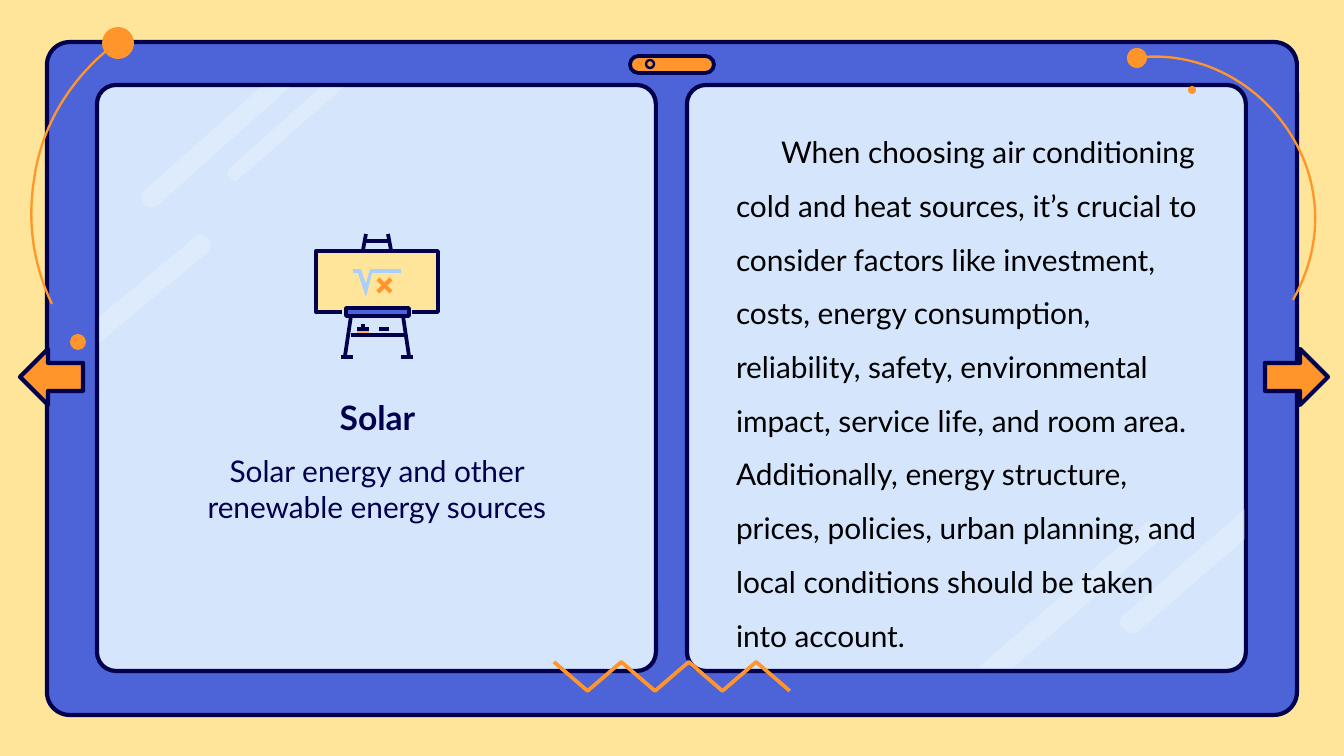
import pptx
import pptx.dml.color
import pptx.enum.shapes
import pptx.enum.text
import pptx.oxml
import pptx.oxml.ns
import pptx.util

PX = 914400 / 134.4
KIND = pptx.enum.shapes.MSO_SHAPE
ALIGN = pptx.enum.text.PP_ALIGN
FIT = pptx.enum.text.MSO_AUTO_SIZE
NAVY, BLUE, PALE, CREAM = "00004D", "4C64D8", "D5E6FC", "FFE599"
ORANGE, PEACH, SKY = "FF952B", "FFB061", "A8CFFF"


def px(n):
    return pptx.util.Emu(round(n * PX))


def rgb(code):
    return pptx.dml.color.RGBColor.from_string(code)


def tag(name):
    return pptx.oxml.parse_xml(f"<a:{name} {pptx.oxml.ns.nsdecls('a')}/>")


def trace(start, steps):
    pts = [start]
    for step in steps:
        if len(step) == 2:
            pts.append(step)
            continue
        a, b, c, d = pts[-1], step[:2], step[2:4], step[4:]
        count = max(4, round(abs(d[0] - a[0]) + abs(d[1] - a[1])) // 6)
        for i in range(1, count + 1):
            t = i / count
            u = 1 - t
            pts.append(tuple(
                u**3 * a[k] + 3 * u * u * t * b[k] + 3 * u * t * t * c[k] + t**3 * d[k]
                for k in (0, 1)))
    return pts


class Board:
    """Holds the slide and its style, and draws each kind of element."""

    font = "Lato"

    def __init__(self, deck):
        self.slide = deck.slides.add_slide(deck.slide_layouts[5])
        self.shapes = self.slide.shapes
        fill = self.slide.background.fill
        fill.solid()
        fill.fore_color.rgb = rgb(CREAM)

    def paint(self, shape, fill, line, width):
        shape.shadow.inherit = False
        if fill:
            shape.fill.solid()
            shape.fill.fore_color.rgb = rgb(fill)
        else:
            shape.fill.background()
        if line:
            shape.line.color.rgb = rgb(line)
            shape.line.width = pptx.util.Pt(width)
        else:
            shape.line.fill.background()
        return shape

    def shape(self, kind, box, fill=None, line=None, width=2.25, adj=None):
        item = self.shapes.add_shape(kind, *map(px, box))
        if adj is not None:
            item.adjustments[0] = adj
        return self.paint(item, fill, line, width)

    def dot(self, x, y, r, fill=ORANGE, line=None, width=1.25):
        return self.shape(KIND.OVAL, (x - r, y - r, 2 * r, 2 * r), fill, line, width)

    def free(self, start, steps, fill=None, line=None, width=2):
        pts = [(px(x), px(y)) for x, y in trace(start, steps)]
        pen = self.shapes.build_freeform(*pts[0], scale=1.0)
        pen.add_line_segments(pts[1:], close=bool(fill))
        return self.paint(pen.convert_to_shape(), fill, line, width)

    def gleam(self, start, steps):
        item = self.free(start, steps, "FFFFFF")
        alpha = tag("alpha")
        alpha.set("val", "20000")
        item.element.xpath("./p:spPr/a:solidFill/a:srgbClr")[0].append(alpha)

    def line(self, x1, y1, x2, y2, color=NAVY, width=2):
        item = self.shapes.add_connector(
            pptx.enum.shapes.MSO_CONNECTOR.STRAIGHT, *map(px, (x1, y1, x2, y2)))
        item.line.color.rgb = rgb(color)
        item.line.width = pptx.util.Pt(width)
        item.element.spPr.append(tag("effectLst"))

    def fill_text(self, item, text, size, color, align, pad, bold=False):
        frame = item.text_frame
        frame.word_wrap = True
        frame.margin_left, frame.margin_top, frame.margin_right, frame.margin_bottom = map(px, pad)
        para = frame.paragraphs[0]
        para.alignment = align
        run = para.add_run()
        run.text = text
        run.font.name, run.font.size, run.font.bold = self.font, pptx.util.Pt(size), bold
        run.font.color.rgb = rgb(color)

    def text(self, box, text, size, color, align=ALIGN.LEFT, pad=(13, 7, 13, 7)):
        item = self.shapes.add_textbox(*map(px, box))
        self.fill_text(item, text, size, color, align, pad)
        return item

    def title(self, box, text):
        item = self.shapes.title
        item.left, item.top, item.width, item.height = map(px, box)
        item.element.getparent().append(item.element)
        self.fill_text(item, text, 18, NAVY, ALIGN.CENTER, (13,) * 4, True)
        item.text_frame.auto_size = FIT.NONE
        item.text_frame.vertical_anchor = pptx.enum.text.MSO_ANCHOR.BOTTOM

    def prose(self, box, text, indent):
        item = self.text(box, text, 16, "000000")
        item.text_frame.auto_size = FIT.SHAPE_TO_FIT_TEXT
        item.text_frame.paragraphs[0].line_spacing = 1.5
        item.element.xpath(".//a:pPr")[0].set("indent", str(px(indent)))


def frame(b):
    b.shape(KIND.ROUNDED_RECTANGLE, (47, 42, 1250, 673), BLUE, NAVY, adj=0.034)
    for x in (687, 97):
        b.shape(KIND.ROUNDED_RECTANGLE, (x, 85, 559, 586), PALE, NAVY, adj=0.034)
    b.gleam((1152, 521), [(1156, 521, 1159, 523, 1161, 526), (1164, 528, 1164, 536, 1160, 540),
                          (1013, 668), (978, 668), (1145, 524), (1146, 522, 1149, 521, 1152, 521)])
    b.gleam((1133, 633), [(1128, 633, 1125, 632, 1124, 629), (1118, 625, 1118, 618, 1125, 614),
                          (1245, 509), (1245, 539), (1140, 630), (1138, 632, 1135, 633, 1133, 633)])
    b.gleam((290, 87), [(157, 206), (155, 207, 153, 207, 151, 207),
                        (148, 207, 145, 206, 144, 204), (140, 200, 140, 194, 144, 191), (261, 87)])
    b.gleam((344, 87), [(239, 179), (238, 181, 237, 181, 235, 181),
                        (233, 181, 231, 180, 230, 179), (226, 176, 227, 171, 230, 168), (321, 87)])
    b.gleam((200, 235), [(204, 235, 206, 237, 208, 238), (212, 242, 212, 249, 207, 253),
                         (99, 343), (99, 317), (194, 238), (195, 236, 198, 235, 200, 235)])
    b.shape(KIND.ROUNDED_RECTANGLE, (630, 56, 84, 17), ORANGE, NAVY, 2, 0.5)
    b.dot(650, 64, 4, None, NAVY)


def trim(b):
    b.free((52, 304), [(34, 266, 27, 225, 34, 180), (42, 120, 77, 70, 123, 38)],
           line=ORANGE, width=1.25)
    b.free((1135, 58), [(1210, 48, 1283, 96, 1308, 171), (1322, 217, 1315, 261, 1293, 300)],
           line=ORANGE, width=1.25)
    for spot in ((118, 43, 16), (78, 342, 8), (1137, 58, 10), (1192, 90, 4)):
        b.dot(*spot)
    zigzag = [(554 + 33.7 * i, 691 if i % 2 else 662) for i in range(8)]
    b.free(zigzag[0], zigzag[1:], line=ORANGE, width=2)


def easel(b):
    b.shape(KIND.RECTANGLE, (357, 329, 12, 7), PEACH)
    b.shape(KIND.RECTANGLE, (316, 251, 122, 61), CREAM)
    b.free((342, 312), [(316, 312), (316, 251), (438, 251), (438, 312), (412, 312)], line=NAVY)
    b.free((353, 269), [(353, 273), (358, 273), (366, 297), (372, 273), (401, 273),
                        (401, 269), (370, 269), (366, 284), (361, 269)], SKY)
    b.line(378, 279, 391, 292, ORANGE, 2.25)
    b.line(378, 292, 391, 279, ORANGE, 2.25)
    for side in (-1, 1):
        for x1, y1, x2, y2 in ((11, 234, 14, 250), (26, 316, 32, 356), (24, 357, 36, 357)):
            b.line(377 + side * x1, y1, 377 + side * x2, y2)
    for bar in ((366, 241, 389, 241), (351, 335, 404, 335), (357, 329, 369, 329),
                (363, 324, 363, 330), (379, 329, 389, 329)):
        b.line(*bar)
    b.shape(KIND.RECTANGLE, (346, 308, 63, 8), BLUE, NAVY, 2)


def main():
    deck = pptx.Presentation()
    deck.slide_width, deck.slide_height = px(1344), px(756)
    b = Board(deck)
    frame(b)
    trim(b)
    b.text((203, 453, 348, 113), "Solar energy and other renewable energy sources",
           16, NAVY, ALIGN.CENTER, (0,) * 4)
    easel(b)
    b.title((188, 388, 379, 62), "Solar")
    for kind, x in ((KIND.LEFT_ARROW, 20), (KIND.RIGHT_ARROW, 1265)):
        b.shape(kind, (x, 349, 63, 56), ORANGE, NAVY)
    b.prose((723, 109, 493, 605),
            "When choosing air conditioning cold and heat sources, it’s crucial to consider "
            "factors like investment, costs, energy consumption, reliability, safety, "
            "environmental impact, service life, and room area. Additionally, energy "
            "structure, prices, policies, urban planning, and local conditions should be "
            "taken into account.", 45)
    deck.save("out.pptx")


if __name__ == "__main__":
    main()
